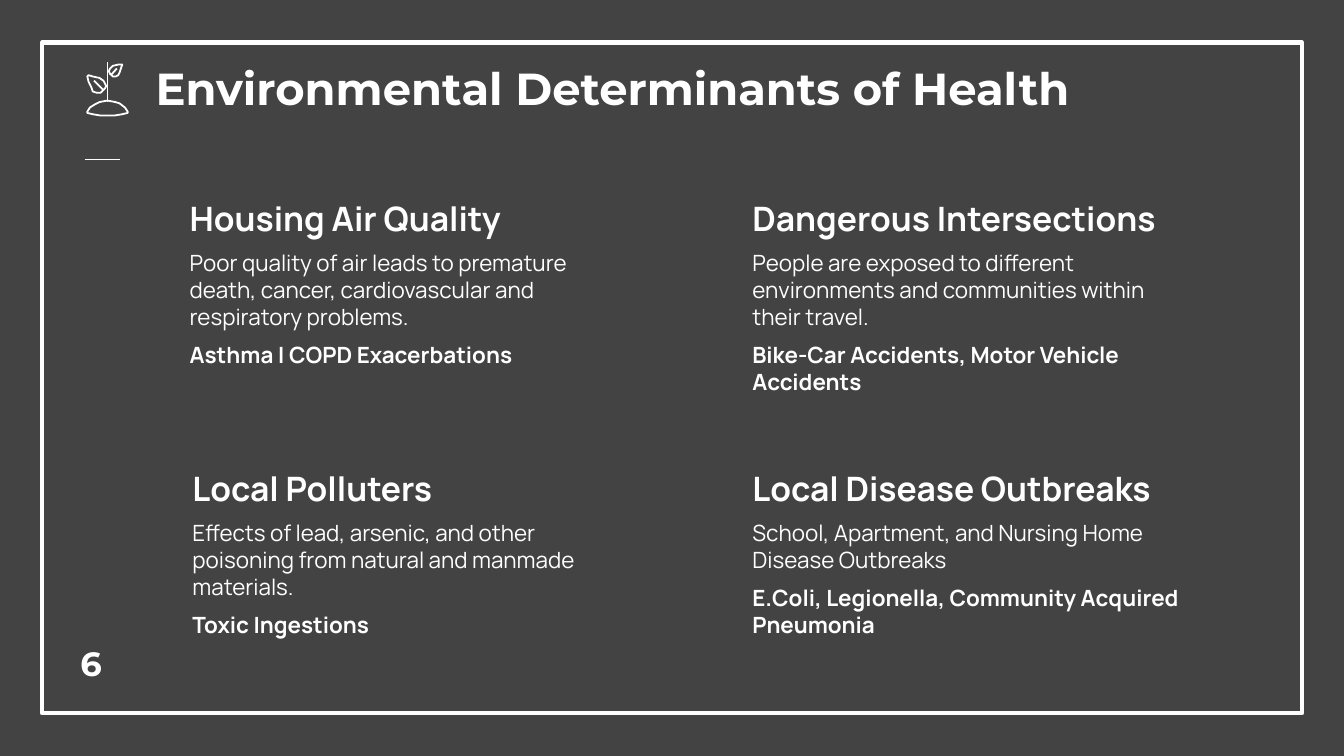
from dataclasses import dataclass
from lxml import etree
from pptx import Presentation
from pptx.dml.color import RGBColor
from pptx.enum.shapes import MSO_CONNECTOR, MSO_SHAPE
from pptx.enum.text import MSO_ANCHOR
from pptx.oxml.ns import qn
from pptx.util import Pt

RECT = MSO_SHAPE.RECTANGLE
LINE = MSO_CONNECTOR.STRAIGHT
TOP, BOTTOM = MSO_ANCHOR.TOP, MSO_ANCHOR.BOTTOM


@dataclass
class Theme:
    dark: RGBColor = RGBColor(0x43, 0x43, 0x43)
    white: RGBColor = RGBColor(0xFF, 0xFF, 0xFF)
    display: str = "Montserrat"
    prose: str = "Manrope"
    title: int = 24
    head: int = 18
    body: int = 12


theme = Theme()
deck = Presentation()
deck.slide_width, deck.slide_height = Pt(720), Pt(405)
slide = deck.slides.add_slide(deck.slide_layouts[6])
slide.background.fill.solid()
slide.background.fill.fore_color.rgb = theme.dark


def write(text, box=None, frame=None, font=theme.prose, size=theme.body,
          bold=True, gap=0, anchor=TOP):
    if frame is None:
        frame = slide.shapes.add_textbox(*map(Pt, box)).text_frame
        frame.word_wrap = True
        frame.vertical_anchor = anchor
        frame.margin_left = frame.margin_right = Pt(7.2)
        frame.margin_top = frame.margin_bottom = Pt(7.2)
        par = frame.paragraphs[0]
    else:
        par = frame.add_paragraph()
    par.space_before = Pt(gap)
    run = par.add_run()
    run.text = text
    run.font.name, run.font.size, run.font.bold = font, Pt(size), bold
    run.font.color.rgb = theme.white
    return frame


def stroke(shape, width):
    shape.line.color.rgb = theme.white
    shape.line.width = Pt(width)


border = slide.shapes.add_shape(RECT, Pt(22.5), Pt(22.8), Pt(675), Pt(359.3))
border.fill.background()
border.shadow.inherit = False
stroke(border, 2.25)

write("Environmental Determinants of Health", box=(76.3, 25.2, 568.8, 64.1),
      font=theme.display, size=theme.title)
write("6", box=(36, 329.8, 43.2, 43.2), font=theme.display,
      size=theme.head, anchor=BOTTOM)

left, right, upper, lower, tall = 94.5, 396, 98.6, 243.4, 135.4
topics = [
    (left, upper, 216.7, "Housing Air Quality",
     "Poor quality of air leads to premature death, cancer, cardiovascular and respiratory problems.",
     "Asthma | COPD Exacerbations"),
    (left + 1.5, lower, 225.4, "Local Polluters",
     "Effects of lead, arsenic, and other poisoning from natural and manmade materials.",
     "Toxic Ingestions"),
    (right, upper, 247, "Dangerous Intersections",
     "People are exposed to different environments and communities within their travel.",
     "Bike-Car Accidents, Motor Vehicle Accidents"),
    (right, lower, 257, "Local Disease Outbreaks",
     "School, Apartment, and Nursing Home Disease Outbreaks",
     "E.Coli, Legionella, Community Acquired Pneumonia"),
]
for x, y, wide, head, cause, effect in topics:
    frame = write(head, box=(x, y, wide, tall), size=theme.head)
    write(cause, frame=frame, bold=False, gap=6)
    write(effect, frame=frame, gap=6)

plant = slide.shapes.add_group_shape()
hill = [(56.9, 54), (53.3, 54.7), (50.4, 56.2), (48.2, 57.6), (46.8, 59.8),
        (46.8, 60.5), (49.7, 61.2), (54, 61.9), (57.6, 61.9), (61.2, 61.9),
        (65.5, 61.2), (68.4, 60.5), (68.4, 59.8), (67, 57.6), (64.1, 55.4),
        (61.9, 54.7), (58.3, 54)]
small = [(59.8, 40.3), (60.5, 41), (61.9, 41), (63.4, 40.3), (64.1, 38.9),
         (64.8, 36.7), (65.5, 34.6), (63.4, 34.6), (60.5, 35.3), (59, 36.7),
         (58.3, 38.2), (59, 39.6)]
large = [(47.5, 40.3), (49.7, 41), (53.3, 41.8), (55.4, 43.2), (56.2, 44.6),
         (56.9, 46.1), (56.2, 47.5), (55.4, 48.2), (54, 49.7), (51.8, 49.7),
         (49.7, 49), (49, 46.8), (47.5, 43.9), (46.8, 41)]
for curve in (hill, small, large):
    dots = [(Pt(x), Pt(y)) for x, y in curve]
    pen = plant.shapes.build_freeform(*dots[0])
    pen.add_line_segments(dots[1:], close=True)
    shape = pen.convert_to_shape()
    shape.fill.background()
    shape.shadow.inherit = False
    stroke(shape, 0.96)

rule = (45.4, 85.4, 64.1, 85.4)
stem = (57.6, 54.7, 57.6, 33.5)
veins = [(62.6, 36.7, 59.4, 40.3), (50.4, 43.2, 55.4, 48.2)]
for ends, home, width in [(rule, slide, 0.75), (stem, plant, 0.96),
                          *((vein, plant, 0.96) for vein in veins)]:
    link = home.shapes.add_connector(LINE, *map(Pt, ends))
    stroke(link, width)
    etree.SubElement(link._element.spPr, qn("a:effectLst"))

deck.save("out.pptx")
